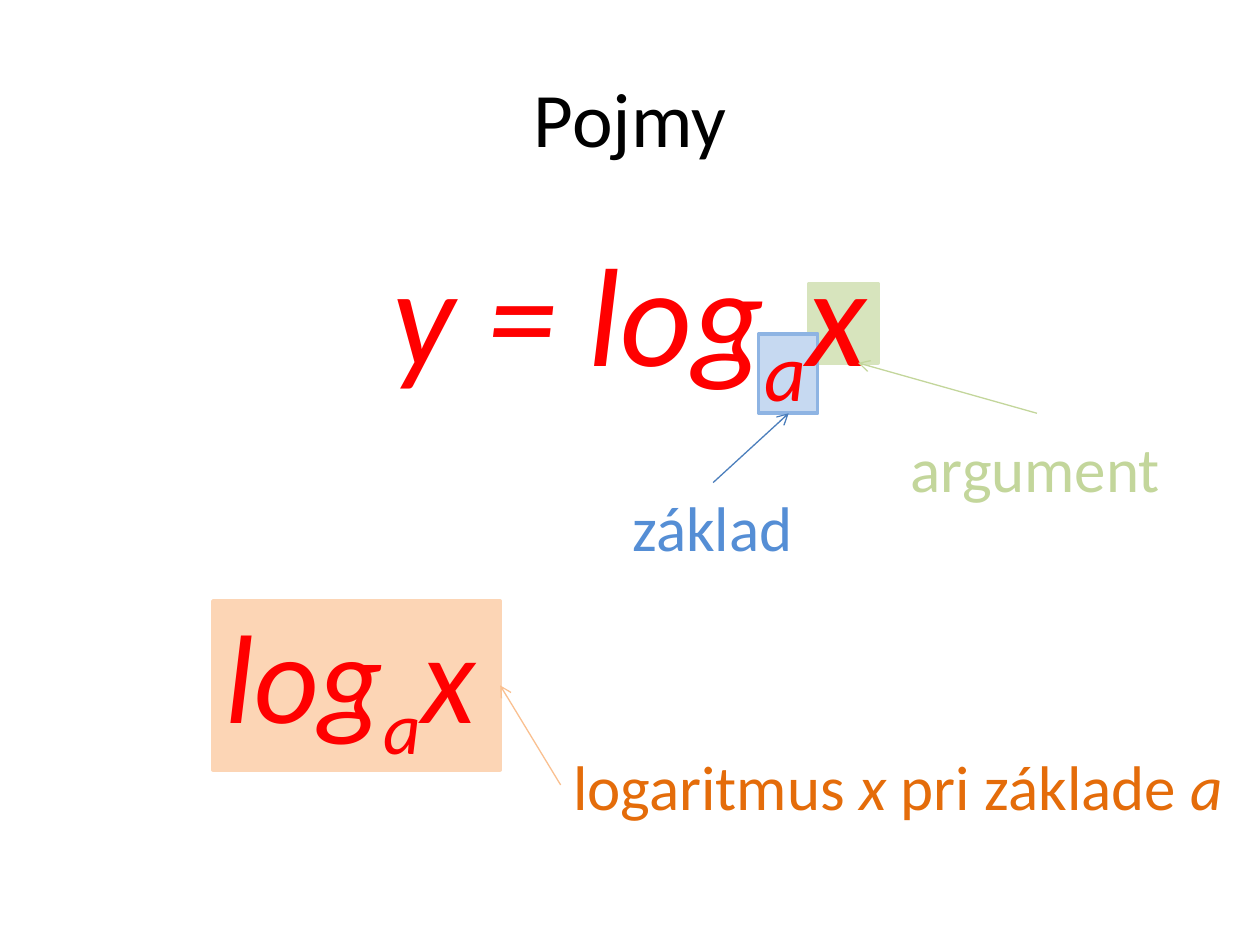
import pptx
import pptx.util
import pptx.dml.color
import pptx.enum.shapes
import pptx.enum.text
import pptx.oxml
import pptx.oxml.ns

Inches = pptx.util.Inches
Pt = pptx.util.Pt
RGBColor = pptx.dml.color.RGBColor
PP_ALIGN = pptx.enum.text.PP_ALIGN
MSO_ANCHOR = pptx.enum.text.MSO_ANCHOR
MSO_AUTO_SIZE = pptx.enum.text.MSO_AUTO_SIZE

BLACK = RGBColor(0x00, 0x00, 0x00)
RED = RGBColor(0xFF, 0x00, 0x00)
PEACH = RGBColor(0xFC, 0xD5, 0xB5)
LIGHT_ORANGE = RGBColor(0xFA, 0xC0, 0x90)
ORANGE = RGBColor(0xE4, 0x6C, 0x0A)
PALE_GREEN = RGBColor(0xD7, 0xE4, 0xBD)
GREEN = RGBColor(0xC3, 0xD6, 0x9B)
PALE_BLUE = RGBColor(0xC6, 0xD9, 0xF1)
LIGHT_BLUE = RGBColor(0x8E, 0xB4, 0xE3)
BLUE = RGBColor(0x55, 0x8E, 0xD5)
DARK_BLUE = RGBColor(0x4B, 0x7E, 0xBC)

SUBSCRIPT = "-25000"


def add_highlight(s, x, y, w, h, fill, line):
    sp = s.shapes.add_shape(pptx.enum.shapes.MSO_SHAPE.RECTANGLE,
                            Inches(x), Inches(y), Inches(w), Inches(h))
    sp.shadow.inherit = False
    sp.fill.solid()
    sp.fill.fore_color.rgb = fill
    sp.line.color.rgb = line
    sp.line.width = Pt(2)


def add_text(s, x, y, w, h, runs, size, color, align=PP_ALIGN.LEFT, **frame):
    sp = s.shapes.add_textbox(Inches(x), Inches(y), Inches(w), Inches(h))
    tf = sp.text_frame
    for name, value in ({"word_wrap": True} | frame).items():
        setattr(tf, name, value)
    p = tf.paragraphs[0]
    p.alignment = align
    for text, italic, baseline in runs:
        r = p.add_run()
        r.text = text
        style = {"name": "Calibri", "size": Pt(size), "italic": italic}
        for name, value in style.items():
            setattr(r.font, name, value)
        r.font.color.rgb = color
        if baseline:
            r._r.get_or_add_rPr().set("baseline", baseline)


def add_formula(s, x, y, w, h, start, size, **layout):
    runs = [(start, True, None), ("a", True, SUBSCRIPT), ("x", True, None)]
    add_text(s, x, y, w, h, runs, size, RED, **layout)


def add_label(s, x, y, w, runs, color):
    add_text(s, x, y, w, 0.71, runs, 36, color,
             word_wrap=False, auto_size=MSO_AUTO_SIZE.SHAPE_TO_FIT_TEXT)


def add_arrow(s, x1, y1, x2, y2, color):
    sp = s.shapes.add_connector(pptx.enum.shapes.MSO_CONNECTOR.STRAIGHT,
                                Inches(x1), Inches(y1), Inches(x2), Inches(y2))
    sp.line.color.rgb = color
    sp.line.width = Pt(0.75)
    ns = pptx.oxml.ns.nsdecls("a")
    sp.line._get_or_add_ln().append(
        pptx.oxml.parse_xml(f'<a:tailEnd {ns} type="arrow"/>'))
    sp._element.spPr.append(pptx.oxml.parse_xml(f"<a:effectLst {ns}/>"))


def add_title(s, x, y, w, h):
    add_text(s, x, y, w, h, [("Pojmy", False, None)], 44, BLACK,
             align=PP_ALIGN.CENTER, vertical_anchor=MSO_ANCHOR.MIDDLE)


def add_equation(s, x, y, w, h):
    add_highlight(s, x + 5.92, y + 0.5, 0.55, 0.63, PALE_GREEN, PALE_GREEN)
    add_highlight(s, x + 5.52, y + 0.9, 0.47, 0.63, PALE_BLUE, LIGHT_BLUE)
    add_formula(s, x, y, w, h, "y = log", 80, align=PP_ALIGN.CENTER)
    add_label(s, x + 4.42, y + 2.08, 1.49, [("základ", False, None)], BLUE)
    add_arrow(s, x + 5.16, y + 2.08, x + 5.76, y + 1.53, DARK_BLUE)
    add_label(s, x + 6.63, y + 1.61, 2.2, [("argument", False, None)], GREEN)
    add_arrow(s, x + 7.73, y + 1.53, x + 6.31, y + 1.13, GREEN)


def add_reading(s, x, y, w, h):
    add_highlight(s, x, y, w, h, PEACH, PEACH)
    add_formula(s, x, y - 0.08, 2.6, 1.31, "log", 72,
                auto_size=MSO_AUTO_SIZE.SHAPE_TO_FIT_TEXT)
    runs = [("logaritmus ", False, None), ("x ", True, None),
            ("pri základe ", False, None), ("a", True, None)]
    add_label(s, x + 2.76, y + 1.11, 5.41, runs, ORANGE)
    add_arrow(s, x + 2.76, y + 1.46, x + w, y + h / 2, LIGHT_ORANGE)


def main():
    prs = pptx.Presentation()
    prs.slide_width = Inches(10)
    prs.slide_height = Inches(7.5)
    s = prs.slides.add_slide(prs.slide_layouts[6])
    add_title(s, 0.5, 0.3, 9, 1.25)
    add_equation(s, 0.5, 1.75, 9, 1.21)
    add_reading(s, 1.69, 4.77, 2.28, 1.34)
    prs.save("out.pptx")


if __name__ == "__main__":
    main()
